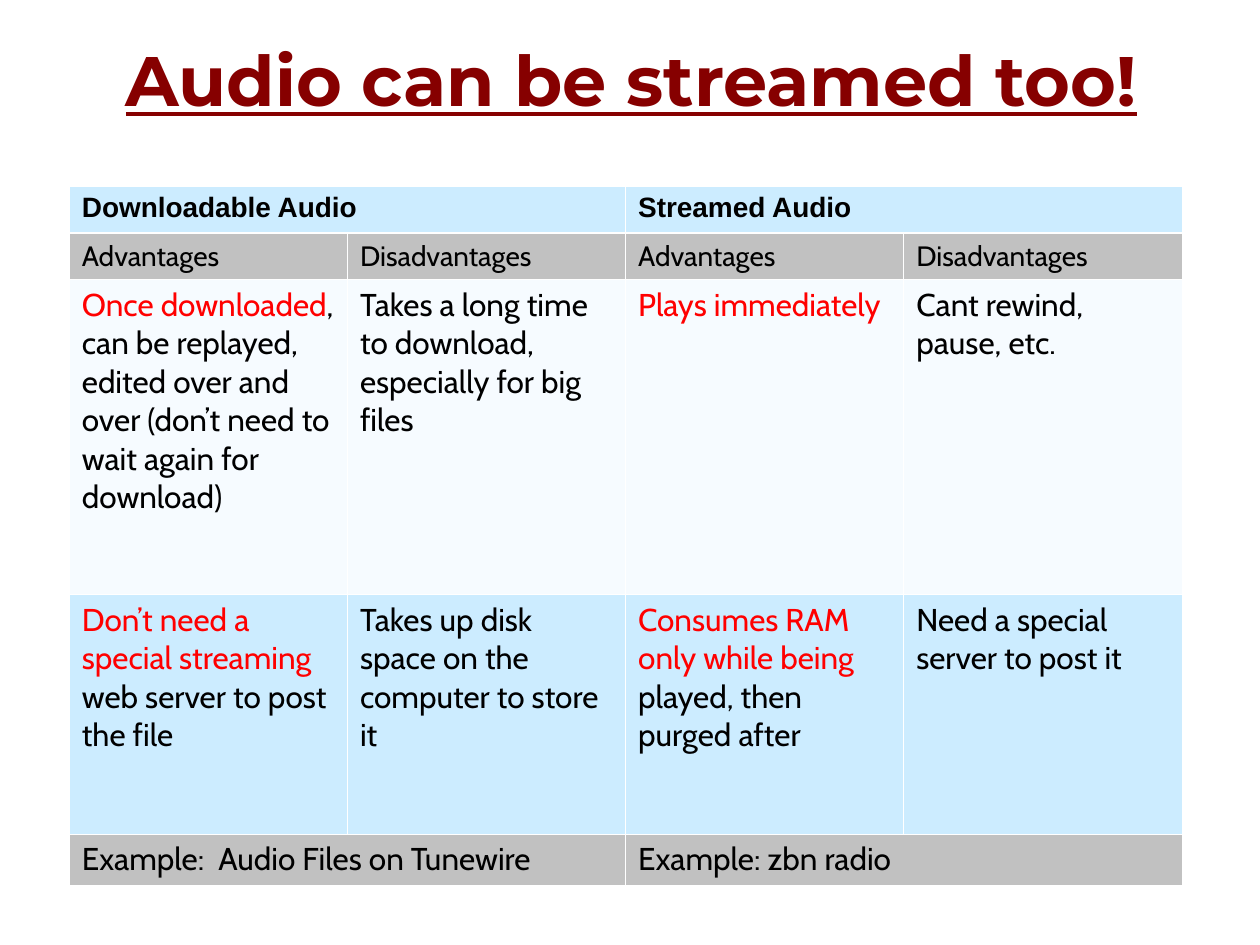
from lxml import etree
from pptx import Presentation
from pptx.dml.color import RGBColor
from pptx.enum.text import MSO_ANCHOR, PP_ALIGN
from pptx.oxml.ns import qn
from pptx.util import Inches, Pt

CENTER = PP_ALIGN.CENTER
MIDDLE = MSO_ANCHOR.MIDDLE
TOP = MSO_ANCHOR.TOP

TITLE_ONLY = 5
BLACK, RED, MAROON, WHITE = "000000", "FF0000", "860000", "FFFFFF"
SKY, PALE, GREY = "CCECFF", "F6FBFF", "C1C1C1"
THIN, THICK = 0.45, 1.47

# Each row: height, fill, font, size, bold, cells as (red text, black text).
ROWS = [
    (0.37, SKY, "Arial", 16, True,
     [("", "Downloadable Audio"), ("", "Streamed Audio")]),
    (0.37, GREY, "Cabin", 16, False,
     [("", "Advantages"), ("", "Disadvantages")] * 2),
    (2.5, PALE, "Cabin", 18, False,
     [("Once downloaded", ", can be replayed, edited over and over "
       "(don’t need to wait again for download)"),
      ("", "Takes a long time to download, especially for big files"),
      ("Plays immediately", ""),
      ("", "Cant rewind, pause, etc.")]),
    (1.9, SKY, "Cabin", 18, False,
     [("Don’t need a special streaming ", "web server to post the file"),
      ("", "Takes up disk space on the computer to store it"),
      ("Consumes RAM only while being ", "played, then purged after"),
      ("", "Need a special server to post it")]),
    (0.4, GREY, "Cabin", 18, False,
     [("", "Example:  Audio Files on Tunewire"), ("", "Example: zbn radio")]),
]


def color(hex_value):
    """Return the colour for a hex string."""
    return RGBColor.from_string(hex_value)


def style_span(span, font, size, hex_value, bold):
    """Set the font, size, colour and weight of one run."""
    span.font.name = font
    span.font.size = Pt(size)
    span.font.bold = bold
    span.font.color.rgb = color(hex_value)


def set_borders(cell, top, bottom):
    """Draw white borders round a cell, with top and bottom widths in points."""
    properties = cell._tc.get_or_add_tcPr()
    sides = [("a:lnL", THIN), ("a:lnR", THIN), ("a:lnT", top), ("a:lnB", bottom)]
    for position, (tag, width) in enumerate(sides):
        line = etree.Element(qn(tag), w=str(int(Pt(width))))
        fill = etree.SubElement(line, qn("a:solidFill"))
        etree.SubElement(fill, qn("a:srgbClr"), val=WHITE)
        properties.insert(position, line)


def add_title(page, left, top, width, height):
    """Place and format the title placeholder."""
    title = page.shapes.title
    title.left, title.top, title.width, title.height = left, top, width, height
    title.text_frame.text = "Audio can be streamed too!"
    title.text_frame.vertical_anchor = MIDDLE
    para = title.text_frame.paragraphs[0]
    para.alignment = CENTER
    span = para.runs[0]
    style_span(span, "Montserrat", 40, MAROON, True)
    span.font.underline = True


def fill_cell(cell, texts, font, size, bold):
    """Write the red and then the black part of a cell's text."""
    cell.vertical_anchor = TOP
    cell.margin_left = cell.margin_right = Inches(0.1)
    cell.margin_top = cell.margin_bottom = Inches(0.05)
    para = cell.text_frame.paragraphs[0]
    for text, hex_value in zip(texts, (RED, BLACK)):
        if text:
            span = para.add_run()
            span.text = text
            style_span(span, font, size, hex_value, bold)


def add_comparison(page, left, top, width, columns=4):
    """Add the table comparing downloadable and streamed audio."""
    height = Inches(sum(row[0] for row in ROWS))
    table = page.shapes.add_table(
        len(ROWS), columns, left, top, width, height).table
    table.first_row = table.horz_banding = False
    for index, (row_height, fill, font, size, bold, texts) in enumerate(ROWS):
        table.rows[index].height = Inches(row_height)
        for column in range(columns):
            cell = table.cell(index, column)
            cell.fill.solid()
            cell.fill.fore_color.rgb = color(fill)
            set_borders(cell, THICK if index == 1 else THIN,
                        THICK if index == 0 else THIN)
        step = columns // len(texts)
        for position, parts in enumerate(texts):
            cell = table.cell(index, position * step)
            if step > 1:
                cell.merge(table.cell(index, (position + 1) * step - 1))
            fill_cell(cell, parts, font, size, bold)


def main():
    """Build the slide and save the deck."""
    deck = Presentation()
    deck.slide_width, deck.slide_height = Inches(10), Inches(7.5)
    page = deck.slides.add_slide(deck.slide_layouts[TITLE_ONLY])
    page.background.fill.solid()
    page.background.fill.fore_color.rgb = color(WHITE)
    add_title(page, Inches(0.51), Inches(0), Inches(9), Inches(1.25))
    add_comparison(page, Inches(0.55), Inches(1.48), Inches(8.83))
    deck.save("out.pptx")


if __name__ == "__main__":
    main()
